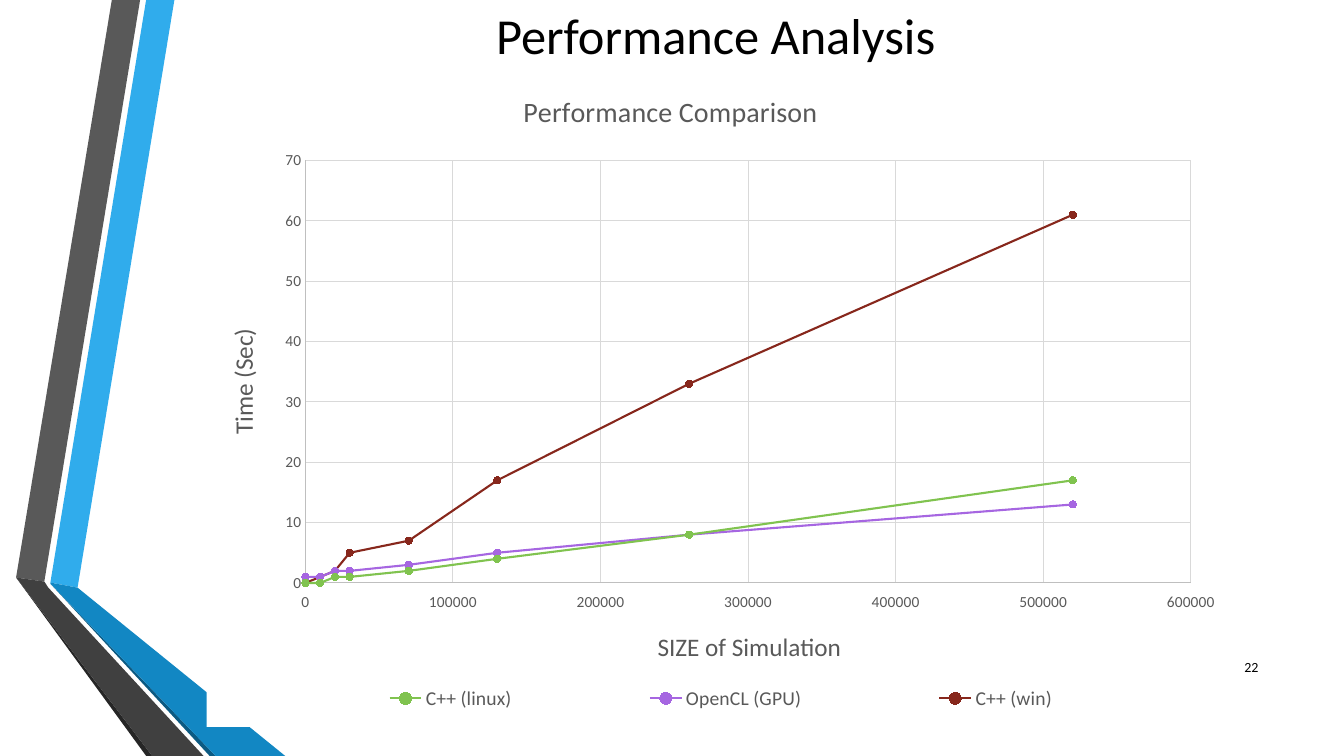
from typing import Any, NamedTuple

import pptx
import pptx.chart.data
import pptx.dml.color
import pptx.enum.chart
import pptx.enum.text
import pptx.oxml
import pptx.oxml.ns
import pptx.util
from pptx.util import Inches

FONT = "Calibri"
GREY = "595959"
CHART_NS = pptx.oxml.ns.nsdecls("c", "a")


class Ribbon(NamedTuple):
    color: str
    points: list[tuple[float, float]]


class Timing(NamedTuple):
    name: str
    color: str
    seconds: list[int]


class Area(NamedTuple):
    """Place inside the chart, as fractions of its size."""
    x: float
    y: float
    w: float | None = None
    h: float | None = None


class AxisLook(NamedTuple):
    title: str
    area: Area
    maximum: int
    step: int
    rotation: int


RIBBONS = [
    Ribbon("30ACEC", [(0.5, 5.78), (0.77, 5.83), (1.73, 0), (1.45, 0)]),
    Ribbon(GREY, [(1.39, 0), (1.11, 0), (0.16, 5.73), (0.44, 5.77)]),
    Ribbon("262626", [(0.16, 5.73), (1.45, 7.5), (1.51, 7.5)]),
    Ribbon("0C5A82", [(0.5, 5.79), (2.08, 7.5), (2.14, 7.5)]),
    Ribbon("1287C3", [(0.5, 5.78), (0.5, 5.79), (2.14, 7.5), (2.83, 7.5), (0.77, 5.83)]),
    Ribbon("404040", [(2.02, 7.5), (0.48, 5.83), (0.44, 5.77), (0.16, 5.73), (1.51, 7.5)]),
]
SIZES = [0, 0, 0, 10000, 20000, 30000, 70000, 130000, 260000, 520000]
TIMINGS = [
    Timing("C++ (linux)", "80C34F", [0, 0, 0, 0, 1, 1, 2, 4, 8, 17]),
    Timing("OpenCL (GPU)", "A666E1", [1, 1, 1, 1, 2, 2, 3, 5, 8, 13]),
    Timing("C++ (win)", "87271C", [0, 0, 0, 1, 2, 5, 7, 17, 33, 61]),
]
SIZE_AXIS = AxisLook("SIZE of Simulation", Area(0.434, 0.845), 600000, 100000, 0)
TIME_AXIS = AxisLook("Time (Sec)", Area(0.014, 0.389), 70, 10, -5400000)


def rgb(color: str) -> pptx.dml.color.RGBColor:
    return pptx.dml.color.RGBColor.from_string(color)


def apply(target: Any, values: dict[str, Any]) -> None:
    for name, value in values.items():
        setattr(target, name, value)


def style_font(font: Any, size: float, color: str) -> None:
    apply(font, {"name": FONT, "size": pptx.util.Pt(size), "bold": False})
    font.color.rgb = rgb(color)


def fill_solid(fill: Any, color: str) -> None:
    fill.solid()
    fill.fore_color.rgb = rgb(color)


def style_line(line: Any, color: str, width: float) -> None:
    line.color.rgb = rgb(color)
    line.width = pptx.util.Pt(width)


def write_text(box: Any, text: str, size: float, align: Any) -> None:
    frame = box.text_frame
    apply(frame, {"word_wrap": True,
                  "vertical_anchor": pptx.enum.text.MSO_ANCHOR.MIDDLE})
    para = frame.paragraphs[0]
    para.alignment = align
    span = para.add_run()
    span.text = text
    style_font(span.font, size, "000000")


def draw_ribbon(page: Any, ribbon: Ribbon) -> None:
    points = [(Inches(x), Inches(y)) for x, y in ribbon.points]
    builder = page.shapes.build_freeform(*points[0])
    builder.add_line_segments(points[1:], close=True)
    shape = builder.convert_to_shape()
    shape.shadow.inherit = False
    fill_solid(shape.fill, ribbon.color)
    shape.line.fill.background()


def place(element: Any, index: int, area: Area, inner: bool = False) -> None:
    """Give a chart part a fixed place."""
    for old in element.findall(pptx.oxml.ns.qn("c:layout")):
        element.remove(old)
    target = '<c:layoutTarget val="inner"/>' if inner else ""
    modes = '<c:xMode val="edge"/><c:yMode val="edge"/>'
    sizes = "".join(f'<c:{name} val="{value}"/>'
                    for name, value in area._asdict().items() if value is not None)
    element.insert(index, pptx.oxml.parse_xml(
        f"<c:layout {CHART_NS}><c:manualLayout>{target}{modes}{sizes}"
        "</c:manualLayout></c:layout>"))


def write_chart_title(title: Any, text: str, size: float, area: Area, rotation: int = 0) -> None:
    para = title.text_frame.paragraphs[0]
    span = para.add_run()
    span.text = text
    style_font(span.font, size, GREY)
    title._element.xpath(".//a:bodyPr")[0].set("rot", str(rotation))
    place(title._element, 1, area)


def style_axis(axis: Any, look: AxisLook) -> None:
    none = pptx.enum.chart.XL_TICK_MARK.NONE
    apply(axis, {"minimum_scale": 0, "maximum_scale": look.maximum,
                 "major_unit": look.step, "has_major_gridlines": True,
                 "major_tick_mark": none, "minor_tick_mark": none})
    apply(axis.tick_labels, {"number_format": "General",
                             "number_format_is_linked": False})
    style_font(axis.tick_labels.font, 11, GREY)
    style_line(axis.format.line, "BFBFBF", 0.75)
    style_line(axis.major_gridlines.format.line, "D9D9D9", 0.75)
    write_chart_title(axis.axis_title, look.title, 18, look.area, look.rotation)


def draw_chart(page: Any) -> None:
    data = pptx.chart.data.XyChartData()
    for timing in TIMINGS:
        series = data.add_series(timing.name)
        for size, seconds in zip(SIZES, timing.seconds):
            series.add_data_point(size, seconds)
    chart = page.shapes.add_chart(
        pptx.enum.chart.XL_CHART_TYPE.XY_SCATTER_LINES,
        Inches(2.05), Inches(0.67), Inches(10.2), Inches(6.54), data).chart

    # Background, plot area and title
    style_font(chart.font, 10, "000000")
    space = chart._chartSpace
    space.find(pptx.oxml.ns.qn("c:txPr")).addprevious(pptx.oxml.parse_xml(
        f'<c:spPr {CHART_NS}><a:solidFill><a:srgbClr val="FFFFFF"/></a:solidFill>'
        "<a:ln><a:noFill/></a:ln></c:spPr>"))
    place(space.xpath(".//c:plotArea")[0], 0, Area(0.096, 0.141, 0.861, 0.641), inner=True)
    write_chart_title(chart.chart_title, "Performance Comparison", 20, Area(0.303, 0.029))

    # Axes
    style_axis(chart.category_axis, SIZE_AXIS)
    style_axis(chart.value_axis, TIME_AXIS)
    chart.category_axis.tick_label_position = pptx.enum.chart.XL_TICK_LABEL_POSITION.LOW

    # Legend
    chart.has_legend = True
    apply(chart.legend, {"position": pptx.enum.chart.XL_LEGEND_POSITION.BOTTOM,
                         "include_in_layout": False})
    style_font(chart.legend.font, 14, GREY)
    place(chart.legend._element, 1, Area(0.05, 0.927, 0.9, 0.06))

    # Series
    chart.plots[0].vary_by_categories = False
    for series, timing in zip(chart.plots[0].series, TIMINGS):
        series.smooth = False
        style_line(series.format.line, timing.color, 1.5)
        apply(series.marker, {"style": pptx.enum.chart.XL_MARKER_STYLE.CIRCLE, "size": 5})
        fill_solid(series.marker.format.fill, timing.color)
        style_line(series.marker.format.line, timing.color, 0.75)


def main() -> None:
    deck = pptx.Presentation()
    apply(deck, {"slide_width": Inches(13.33), "slide_height": Inches(7.5)})
    page = deck.slides.add_slide(deck.slide_layouts[5])

    # Ribbons on the left
    for ribbon in RIBBONS:
        draw_ribbon(page, ribbon)

    # Title
    title = page.shapes.title
    apply(title, {"left": Inches(1.62), "top": Inches(0.01),
                  "width": Inches(10.96), "height": Inches(0.67)})
    write_text(title, "Performance Analysis", 36, pptx.enum.text.PP_ALIGN.CENTER)

    # Chart, then the page number above its opaque background
    draw_chart(page)
    number = page.shapes.add_textbox(Inches(11.98), Inches(6.42), Inches(0.6), Inches(0.4))
    write_text(number, "22", 10, pptx.enum.text.PP_ALIGN.RIGHT)
    deck.save("out.pptx")


if __name__ == "__main__":
    main()
